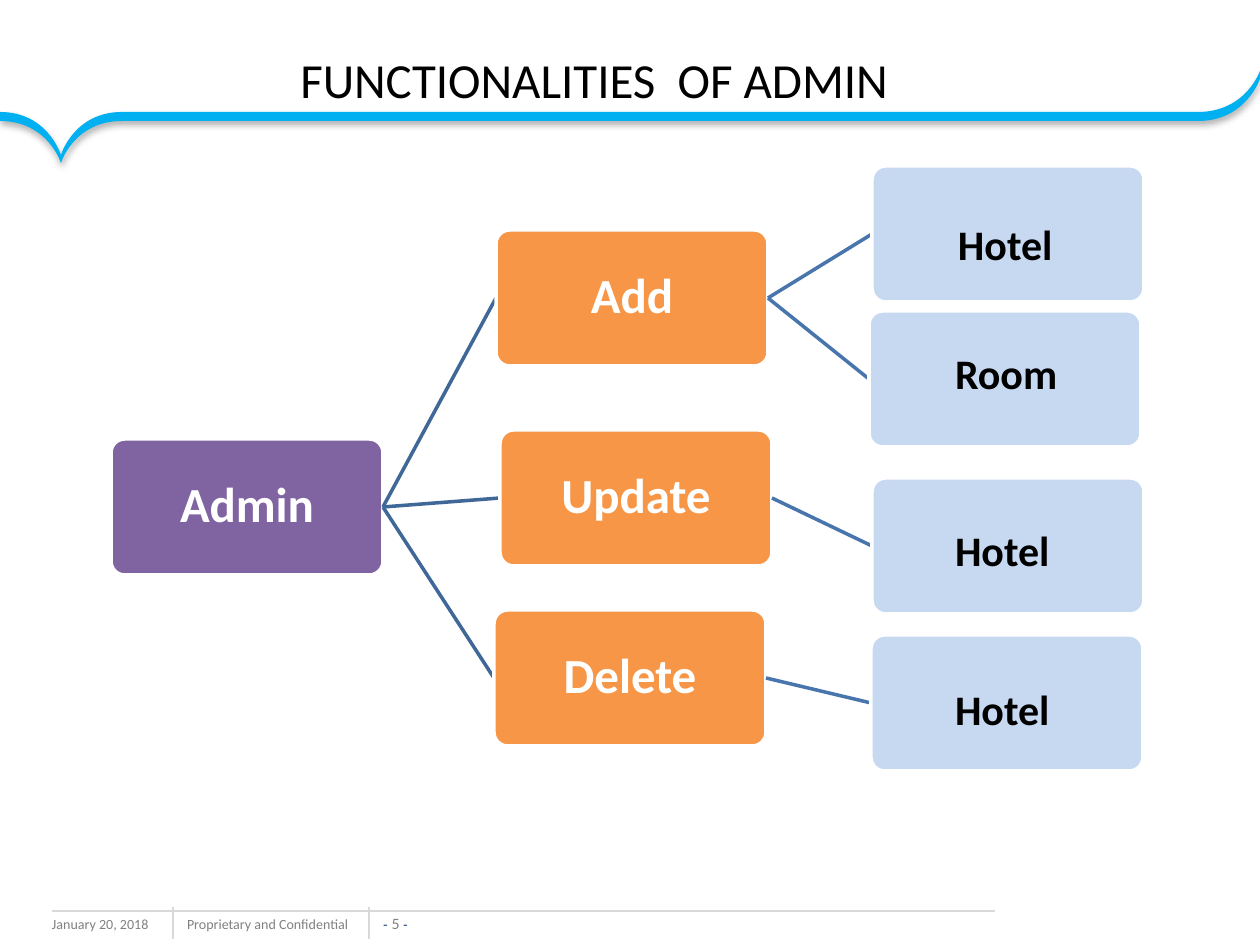
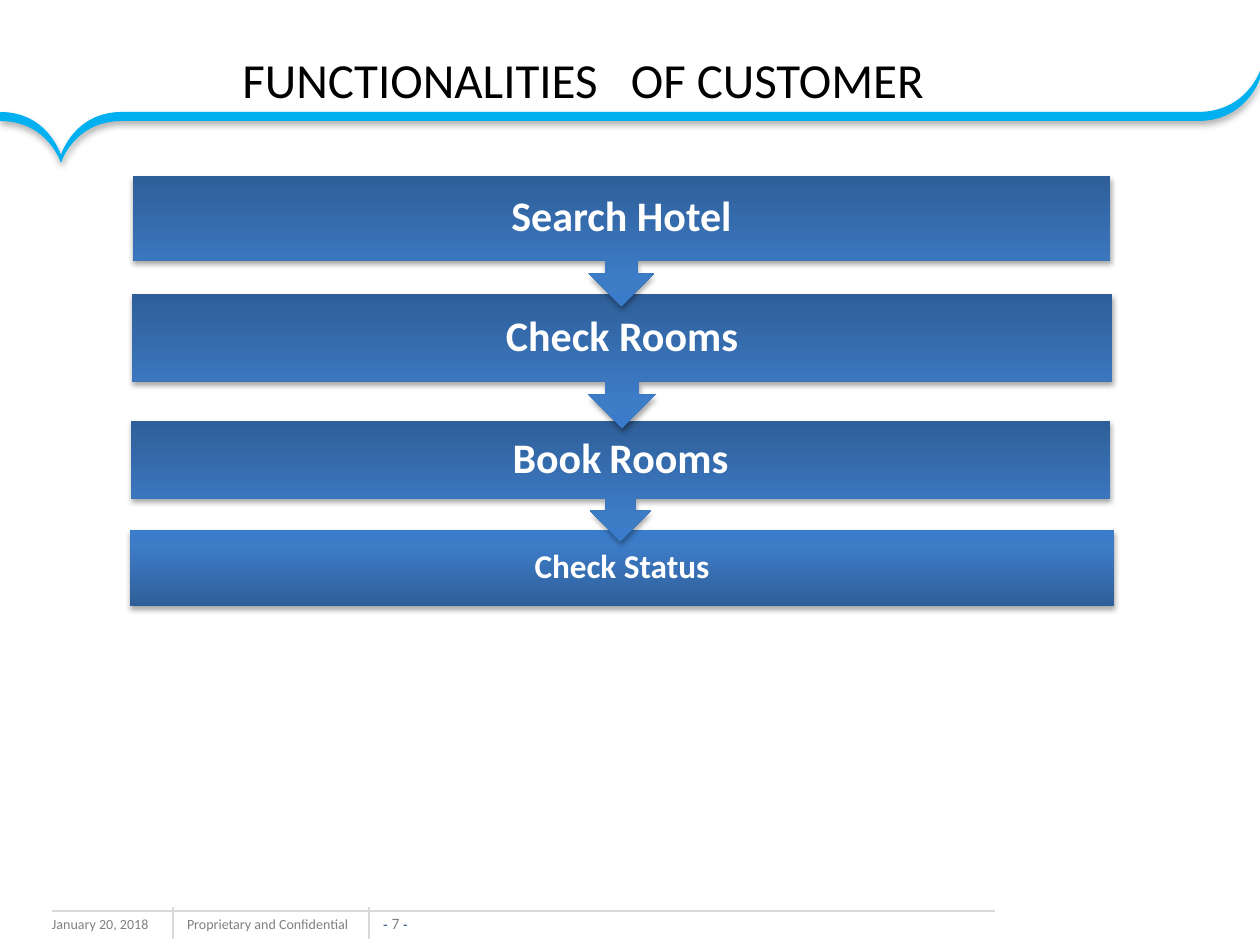
from lxml import etree
from pptx import Presentation
from pptx.dml.color import RGBColor
from pptx.enum.shapes import MSO_CONNECTOR, MSO_SHAPE
from pptx.enum.text import MSO_ANCHOR, MSO_AUTO_SIZE, PP_ALIGN
from pptx.oxml.ns import qn
from pptx.util import Emu, Pt

PX = 914400 / 126
WIDE, HIGH = 1260, 945
LEFT, CENTER = PP_ALIGN.LEFT, PP_ALIGN.CENTER
TOP, MIDDLE, BOTTOM = MSO_ANCHOR.TOP, MSO_ANCHOR.MIDDLE, MSO_ANCHOR.BOTTOM
FIXED = MSO_AUTO_SIZE.NONE
ROUND, RECT = MSO_SHAPE.ROUNDED_RECTANGLE, MSO_SHAPE.RECTANGLE
CALLOUT = MSO_SHAPE.DOWN_ARROW_CALLOUT
STRAIGHT = MSO_CONNECTOR.STRAIGHT

WHITE = RGBColor(0xFF, 0xFF, 0xFF)
BLACK = RGBColor(0, 0, 0)
SKY = RGBColor(0x00, 0xB0, 0xF0)
GRAY = RGBColor(0x80, 0x80, 0x80)
RULE = RGBColor(0xD9, 0xD9, 0xD9)
NAVY = RGBColor(0x1F, 0x49, 0x7D)
PURPLE = RGBColor(0x80, 0x64, 0xA2)
ORANGE = RGBColor(0xF7, 0x96, 0x46)
PALE = RGBColor(0xC6, 0xD9, 0xF1)
STEEL = RGBColor(0x3F, 0x67, 0x97)
BLUE = RGBColor(0x48, 0x75, 0xAC)
DEEP = RGBColor(0x2F, 0x5F, 0x99)
MID = RGBColor(0x3D, 0x7C, 0xC7)
LIGHT = RGBColor(0x3A, 0x7C, 0xCB)
SHADES = [(0, DEEP), (80, MID), (100, LIGHT)]

HEAD = {"size": Pt(28), "bold": False, "name": "Calibri"}
NODE = {"size": Pt(28), "bold": True, "name": "Calibri"}
STEP = {"size": Pt(24), "bold": True, "name": "Calibri"}
LAST = {"size": Pt(19), "bold": True, "name": "Calibri"}
GAP = {"size": Pt(20), "bold": False, "name": "Calibri"}
FOOT = {"size": Pt(8), "name": "Calibri"}
PAGE = {"size": Pt(9), "name": "Calibri"}
DASH = {"size": Pt(8), "name": "Arial"}

BAND_TOP = 71
BAND = [
    ((122, 112), (122, 112), (122, 112)),
    ((74, 112), (61, 155), (61, 155)),
    ((61, 155), (48, 112), (0, 112)),
    ((0, 121), (0, 121), (0, 121)),
    ((48, 121), (61, 163), (61, 163)),
    ((61, 163), (74, 121), (122, 121)),
    ((1198, 121), (1198, 121), (1198, 121)),
    ((1246, 121), (1260, 79), (1260, 79)),
    ((1260, 71), (1260, 71), (1260, 71)),
    ((1260, 71), (1246, 112), (1198, 112)),
]

TREE = ("Admin", 0, 273, [
    ("Add", 385, 64, [("Hotel", 761, 0, 73, 47), ("Room", 758, 145, 73, 31)]),
    ("Update", 389, 264, [("Hotel", 761, 312, 70, 41)]),
    ("Delete", 383, 444, [("Hotel", 760, 469, 71, 43)]),
])
NODE_W, NODE_H = 272, 136

STEPS = [
    (RECT, (0, 355, 984, 76), [("Check Status", LAST, WHITE)], 90),
    (CALLOUT, (1, 246, 979, 120),
     [("Book", STEP, WHITE), (" ", GAP, WHITE), ("Rooms", STEP, WHITE)], 270),
    (CALLOUT, (2, 119, 980, 134), [("Check Rooms", STEP, WHITE)], 270),
    (CALLOUT, (3, 1, 977, 130), [("Search Hotel", STEP, WHITE)], 270),
]


def emu(*px):
    """Turn px lengths into EMU."""
    return [Emu(round(n * PX)) for n in px]


def style(item, values):
    """Set each named value on an item."""
    for name, value in values.items():
        setattr(item, name, value)


def write(shape, runs, align=CENTER, anchor=MIDDLE, inset=(3, 3), spacing=None):
    """Fill a shape with one paragraph of formatted runs."""
    frame = shape.text_frame
    side, edge = emu(*inset)
    style(frame, {"word_wrap": True, "auto_size": FIXED, "vertical_anchor": anchor,
                  "margin_left": side, "margin_right": side,
                  "margin_top": edge, "margin_bottom": edge})
    para = frame.paragraphs[0]
    style(para, {"alignment": align, "line_spacing": spacing})
    for text, font, color in runs:
        run = para.add_run()
        run.text = text
        style(run.font, font)
        run.font.color.rgb = color


def label(slide, box, runs, **layout):
    """Add a text box."""
    shape = slide.shapes.add_textbox(*emu(*box))
    write(shape, runs, **layout)


def line(slide, ends, color, width):
    """Add a plain straight line."""
    link = slide.shapes.add_connector(STRAIGHT, *emu(*ends))
    link.line.color.rgb = color
    link.line.width = Pt(width)
    etree.SubElement(link._element.spPr, qn("a:effectLst"))


def tint(parent, color, alpha=None):
    """Add an RGB colour element."""
    item = etree.SubElement(parent, qn("a:srgbClr"), val=str(color))
    if alpha:
        etree.SubElement(item, qn("a:alpha"), val=str(alpha * 1000))


def shade(shape, alpha, blur, drop):
    """Give a shape a soft shadow straight below it."""
    shape.shadow.inherit = False
    effects = shape._element.spPr.find(qn("a:effectLst"))
    outer = etree.SubElement(effects, qn("a:outerShdw"), blurRad=str(Pt(blur)),
                             dist=str(Pt(drop)), dir="5400000", rotWithShape="0")
    tint(outer, BLACK, alpha)


def blend(shape, angle):
    """Fill a shape with the blue gradient."""
    shape.fill.gradient()
    shape.fill.gradient_angle = angle
    stops = shape._element.spPr.find(qn("a:gradFill")).find(qn("a:gsLst"))
    for stop in list(stops):
        stops.remove(stop)
    for place, color in SHADES:
        tint(etree.SubElement(stops, qn("a:gs"), pos=str(place * 1000)), color)


def bend(shape, curves, top):
    """Turn each straight side of an outline into a cubic curve."""
    sides = list(shape._element.iter(qn("a:lnTo")))
    for side, curve in zip(sides, curves):
        cubic = etree.Element(qn("a:cubicBezTo"))
        for x, y in curve:
            across, down = emu(x, y - top)
            etree.SubElement(cubic, qn("a:pt"), x=str(across), y=str(down))
        side.getparent().replace(side, cubic)


def band(slide):
    """Draw the curved band under the title."""
    ends = [emu(*curve[-1]) for curve in BAND]
    pen = slide.shapes.build_freeform(*ends[-1], scale=1.0)
    pen.add_line_segments(ends)
    shape = pen.convert_to_shape()
    bend(shape, BAND, BAND_TOP)
    shape.fill.solid()
    shape.fill.fore_color.rgb = SKY
    shape.line.fill.background()
    shade(shape, 31, 4, 2)


def footer(slide, box, page):
    """Draw the date, notice, page number and rules."""
    x, y = box
    for left, width, text in ((0, 168, "January 20, 2018"),
                              (135, 198, "Proprietary and Confidential")):
        label(slide, (x + left, y, width, 31), [(text, FOOT, GRAY)],
              align=LEFT, anchor=TOP, inset=(13, 6))
    label(slide, (x + 340, y + 4, 33, 19),
          [("- ", DASH, NAVY), (f"{page} ", PAGE, GRAY), ("-", DASH, NAVY)],
          anchor=BOTTOM, inset=(0, 0))
    for left in (134, 330):
        line(slide, (x + left, y - 3, x + left, y + 29), RULE, 0.75)
    line(slide, (x + 956, y + 1, x + 13, y + 1), RULE, 0.75)


def frame(deck, title, left, page):
    """Add a slide with its title, band and footer."""
    slide = deck.slides.add_slide(deck.slide_layouts[5])
    band(slide)
    footer(slide, (39, 910), page)
    head = slide.shapes.title
    style(head, dict(zip(("left", "top", "width", "height"),
                         emu(left, 0, 1134, 158))))
    write(head, [(title, HEAD, BLACK)], inset=(13, 6))
    return slide


def node(slide, x, y, color):
    """Add one rounded box of the tree."""
    shape = slide.shapes.add_shape(ROUND, *emu(x, y, NODE_W, NODE_H))
    shape.adjustments[0] = 0.1
    shape.shadow.inherit = False
    shape.fill.solid()
    shape.fill.fore_color.rgb = color
    shape.line.color.rgb = WHITE
    shape.line.width = Pt(2)
    return shape


def branch(slide, box, item, color):
    """Draw a node, then its links and children."""
    left, top = box
    text, x, y, kids = item
    shape = node(slide, left + x, top + y, color)
    write(shape, [(text, NODE, WHITE)], spacing=0.9)
    for kid in kids:
        leaf = len(kid) == 5
        ends = (left + x + NODE_W, top + y + NODE_H // 2,
                left + kid[1], top + kid[2] + NODE_H // 2)
        line(slide, ends, BLUE if leaf else STEEL, 2)
        if leaf:
            name, over, down, dx, dy = kid
            node(slide, left + over, top + down, PALE)
            label(slide, (left + over + dx, top + down + dy, 134, 63),
                  [(name, STEP, BLACK)], align=LEFT, anchor=TOP, inset=(13, 6))
        else:
            branch(slide, box, kid, ORANGE)


def flow(slide, box):
    """Draw the steps from the last up to the first."""
    left, top = box
    for kind, (x, y, width, height), runs, angle in STEPS:
        shape = slide.shapes.add_shape(kind, *emu(left + x, top + y, width, height))
        blend(shape, angle)
        shape.line.fill.background()
        shade(shape, 35, 3.1, 1.8)
        write(shape, runs, inset=(0, 0), spacing=0.9)


def main():
    """Build and save both slides."""
    deck = Presentation()
    deck.slide_width, deck.slide_height = emu(WIDE, HIGH)
    admin = frame(deck, "FUNCTIONALITIES  OF ADMIN", 27, 5)
    branch(admin, (111, 166), TREE, PURPLE)
    client = frame(deck, "FUNCTIONALITIES   OF CUSTOMER", 16, 7)
    flow(client, (130, 175))
    deck.save("out.pptx")


if __name__ == "__main__":
    main()
